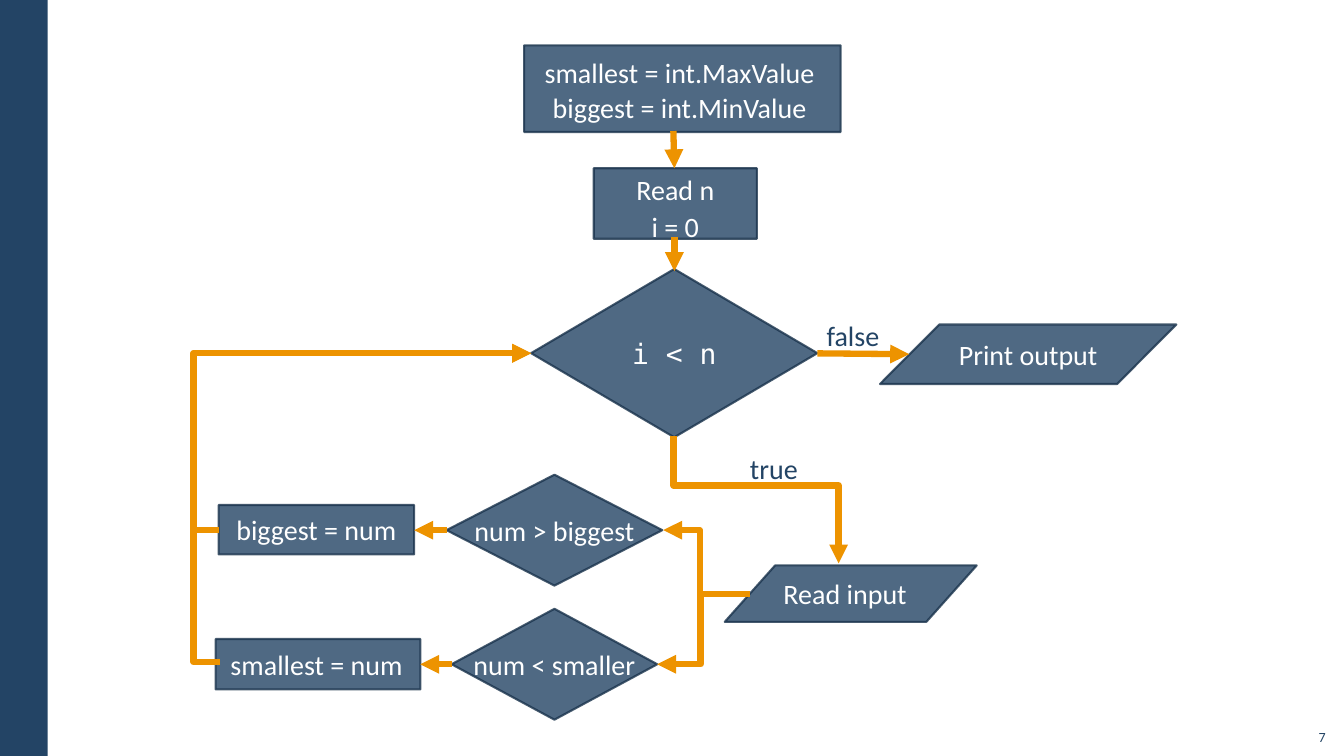
"""Build a flowchart slide that finds the smallest and biggest of n numbers."""
from dataclasses import dataclass
from typing import Optional

import pptx
import pptx.dml.color
import pptx.enum.shapes
import pptx.enum.text
import pptx.oxml
import pptx.oxml.ns
import pptx.util

Pt = pptx.util.Pt
qn = pptx.oxml.ns.qn
SHAPE = pptx.enum.shapes.MSO_SHAPE
LINK = pptx.enum.shapes.MSO_CONNECTOR
ALIGN = pptx.enum.text.PP_ALIGN
ANCHOR = pptx.enum.text.MSO_ANCHOR

NAVY, EDGE, ORANGE, WHITE = "234465", "1A334C", "ED9300", "FFFFFF"
SANS, MONO = "Calibri", "DejaVu Sans Mono"


@dataclass
class Node:
    kind: int
    left: float
    top: float
    width: float
    height: float
    lines: tuple[str, ...]
    font: str = SANS
    spacing: float = 1.0
    dx: float = 0
    dy: float = 0


@dataclass
class Arrow:
    x1: float
    y1: float
    x2: float
    y2: float
    preset: str = "line"
    adj: Optional[float] = None
    down: bool = False


@dataclass
class Label:
    text: str
    left: float
    top: float
    width: float
    height: float
    size: float = 20
    spacing: float = 1.1
    margins: tuple[float, float] = (11.5, 8.6)
    align: int = ALIGN.LEFT
    anchor: int = ANCHOR.TOP


NODES = [
    Node(SHAPE.RECTANGLE, 374.4, 32.4, 226.1, 61.9,
         ("smallest = int.MaxValue", "biggest = int.MinValue"), spacing=1.05, dx=-2),
    Node(SHAPE.RECTANGLE, 424.1, 120.2, 116.6, 50.4, ("Read n", "i = 0"),
         spacing=1.1, dy=2),
    Node(SHAPE.FLOWCHART_DECISION, 379.4, 192.2, 204.5, 120.2, ("i < n",), MONO),
    Node(SHAPE.FLOWCHART_DATA, 628.6, 231.8, 211.7, 42.5, ("Print output",)),
    Node(SHAPE.FLOWCHART_DATA, 517.7, 403.9, 180, 40.3, ("Read input",), dx=-4),
    Node(SHAPE.FLOWCHART_DECISION, 319, 339.1, 154.1, 79.2, ("num > biggest",)),
    Node(SHAPE.FLOWCHART_DECISION, 322.6, 434.9, 146.9, 79.2, ("num < smaller",)),
    Node(SHAPE.FLOWCHART_PROCESS, 156.2, 360.7, 139.7, 35.3, ("biggest = num",)),
    Node(SHAPE.FLOWCHART_PROCESS, 154.1, 456.5, 146.2, 36, ("smallest = num",), dx=-1),
]

ARROWS = [
    Arrow(481, 93.6, 481.7, 120.2),
    Arrow(481.7, 169.2, 481.7, 193.7),
    Arrow(583.9, 252.4, 649.4, 253),
    Arrow(481, 311.8, 599, 402.5, "bentConnector3", 0.385, True),
    Arrow(535.7, 424.1, 473.8, 378.7, "bentConnector3", 0.58),
    Arrow(500.4, 424.1, 469.4, 474.5, "bentConnector2", down=True),
    Arrow(319, 378.7, 295.9, 378.7),
    Arrow(322.6, 474.5, 300.2, 474.5),
    Arrow(156.2, 378.7, 379.4, 252.4, "bentConnector3", -0.08),
    Arrow(157, 473, 379.4, 252.4, "bentConnector3", -0.084),
]

LABELS = [
    Label("true", 524.2, 311.8, 57.6, 42.5),
    Label("false", 578.9, 216.7, 61.2, 42.5),
    Label("7", 925.2, 512.6, 28.8, 23, 10, 1, (7.2, 3.6), ALIGN.RIGHT, ANCHOR.BOTTOM),
]


def rgb(value: str) -> pptx.dml.color.RGBColor:
    """Turn a hex string into a colour."""
    return pptx.dml.color.RGBColor.from_string(value)


def add_child(parent, tag: str, **attrs: str) -> None:
    """Append a drawing element with attributes."""
    child = parent.makeelement(qn(tag), attrs)
    parent.append(child)


def add_run(p, text: str, size: float, font: str, color: str) -> None:
    """Append a formatted run."""
    r = p.add_run()
    r.text = text
    r.font.size = Pt(size)
    r.font.name = font
    r.font.color.rgb = rgb(color)


def draw_bar(slide) -> None:
    """Draw the side bar."""
    sp = slide.shapes.add_shape(SHAPE.RECTANGLE, 0, 0, Pt(34), Pt(540))
    sp.shadow.inherit = False
    sp.fill.solid()
    sp.fill.fore_color.rgb = rgb(NAVY)
    sp.line.fill.background()


def draw_node(slide, node: Node) -> None:
    """Draw a translucent flowchart step with its centred text."""
    sp = slide.shapes.add_shape(node.kind, Pt(node.left), Pt(node.top),
                                Pt(node.width), Pt(node.height))
    sp.shadow.inherit = False
    sp.fill.solid()
    sp.fill.fore_color.rgb = rgb(NAVY)
    sp.line.color.rgb = rgb(EDGE)
    sp.line.width = Pt(1.5)
    for clr in sp._element.spPr.iter(qn("a:srgbClr")):
        add_child(clr, "a:alpha", val="80000")
    tf = sp.text_frame
    tf.word_wrap = False
    tf.vertical_anchor = ANCHOR.MIDDLE
    tf.margin_left = tf.margin_bottom = 0
    tf.margin_right = Pt(-2 * node.dx)
    tf.margin_top = Pt(2 * node.dy)
    for i, line in enumerate(node.lines):
        p = tf.add_paragraph() if i else tf.paragraphs[0]
        p.alignment = ALIGN.CENTER
        p.line_spacing = node.spacing
        add_run(p, line, 20, node.font, WHITE)


def draw_arrow(slide, arrow: Arrow) -> None:
    """Draw an arrow; one that starts downwards is laid out flat and turned by 90 degrees."""
    cx, cy = (arrow.x1 + arrow.x2) / 2, (arrow.y1 + arrow.y2) / 2
    w, h = arrow.x2 - arrow.x1, arrow.y2 - arrow.y1
    if arrow.down:
        w, h = h, -w
    kind = LINK.STRAIGHT if arrow.preset == "line" else LINK.ELBOW
    cn = slide.shapes.add_connector(kind, Pt(cx - w / 2), Pt(cy - h / 2),
                                    Pt(cx + w / 2), Pt(cy + h / 2))
    cn.line.color.rgb = rgb(ORANGE)
    cn.line.width = Pt(4.5)
    spPr = cn._element.spPr
    if arrow.down:
        spPr.find(qn("a:xfrm")).set("rot", "5400000")
    geom = spPr.find(qn("a:prstGeom"))
    geom.set("prst", arrow.preset)
    if arrow.adj is not None:
        add_child(geom.find(qn("a:avLst")), "a:gd", name="adj1",
                  fmla=f"val {round(arrow.adj * 100000)}")
    add_child(spPr.find(qn("a:ln")), "a:tailEnd", type="triangle")
    add_child(spPr, "a:effectLst")


def draw_label(slide, label: Label) -> None:
    """Draw a free-standing text."""
    tf = slide.shapes.add_textbox(Pt(label.left), Pt(label.top),
                                  Pt(label.width), Pt(label.height)).text_frame
    tf.word_wrap = False
    tf.vertical_anchor = label.anchor
    tf.margin_left = tf.margin_right = Pt(label.margins[0])
    tf.margin_top = tf.margin_bottom = Pt(label.margins[1])
    p = tf.paragraphs[0]
    p.alignment = label.align
    p.line_spacing = label.spacing
    add_run(p, label.text, label.size, SANS, NAVY)


def main() -> None:
    """Build and save the slide."""
    prs = pptx.Presentation()
    prs.slide_width, prs.slide_height = Pt(960), Pt(540)
    s = prs.slides.add_slide(prs.slide_layouts[6])
    draw_bar(s)
    for node in NODES:
        draw_node(s, node)
    for arrow in ARROWS:
        draw_arrow(s, arrow)
    for label in LABELS:
        draw_label(s, label)
    prs.save("out.pptx")


if __name__ == "__main__":
    main()
